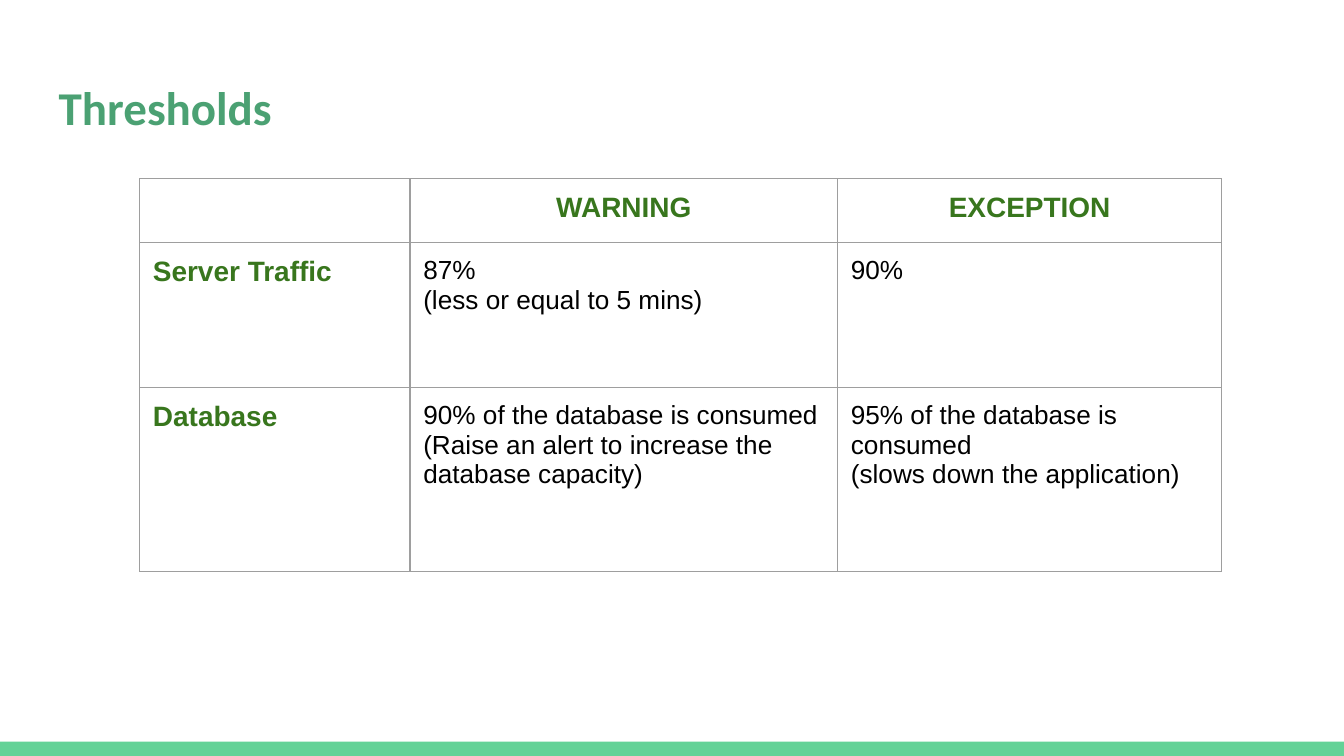
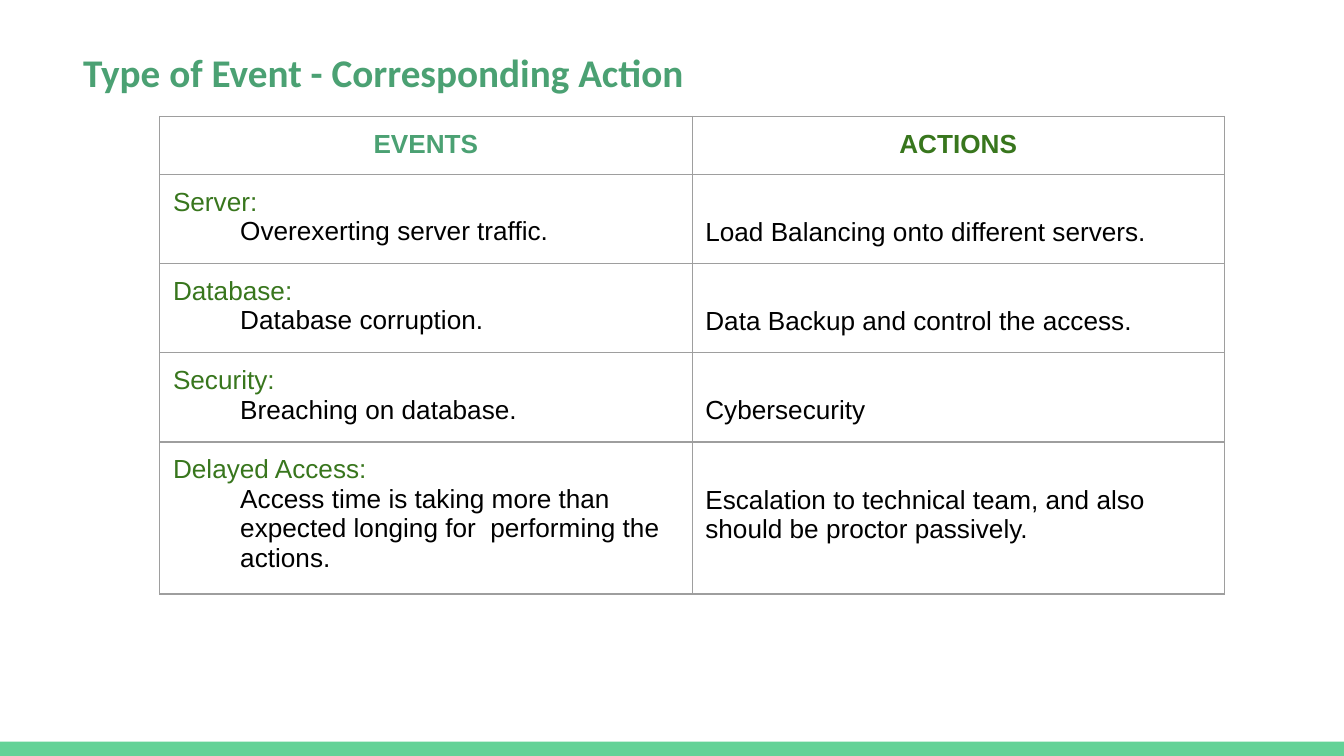
from lxml import etree
from pptx import Presentation
from pptx.dml.color import RGBColor
from pptx.enum.shapes import MSO_SHAPE as Shape
from pptx.enum.text import MSO_ANCHOR as Anchor, PP_ALIGN as Align
from pptx.oxml.ns import qn
from pptx.util import Cm, Pt

BAND = RGBColor(0x63, 0xD2, 0x97)
TITLE = RGBColor(0x4B, 0xA1, 0x73)
GREEN = RGBColor(0x38, 0x76, 0x1D)
BLACK = RGBColor(0, 0, 0)
BORDER = RGBColor(0x9E, 0x9E, 0x9E)
INSET = Cm(0.25)
LINE = Cm(0.57)


def write(frame, text, size=14, color=BLACK, bold=False, font="Arial",
          align=Align.LEFT, indent=0):
    """Fill the first paragraph of the frame, or add one after existing text."""
    para = frame.add_paragraph() if frame.text else frame.paragraphs[0]
    para.alignment = align
    if indent:
        properties = para._p.get_or_add_pPr()
        properties.set("marL", str(int(indent)))
        properties.set("indent", "0")
    span = para.add_run()
    span.text = text
    span.font.name = font
    span.font.size = Pt(size)
    span.font.bold = bold
    span.font.color.rgb = color


def add_grid(page, left, top, widths, heights):
    """Add an unfilled table with thin grey borders."""
    table = page.shapes.add_table(len(heights), len(widths), left, top,
                                  sum(widths), sum(heights)).table
    table.first_row = table.horz_banding = False
    for column, width in zip(table.columns, widths):
        column.width = width
    for row, height in zip(table.rows, heights):
        row.height = height
    for cell in table.iter_cells():
        cell.margin_left = cell.margin_right = INSET
        cell.margin_top = cell.margin_bottom = 0
        properties = cell._tc.get_or_add_tcPr()
        for side in ("lnL", "lnR", "lnT", "lnB"):
            line = etree.SubElement(properties, qn(f"a:{side}"), w=str(Pt(0.75)))
            fill = etree.SubElement(line, qn("a:solidFill"))
            etree.SubElement(fill, qn("a:srgbClr"), val=str(BORDER))
        cell.fill.background()
    return table


deck = Presentation()
deck.slide_width = Cm(25.4)
deck.slide_height = Cm(14.29)

# Title, left, top, width, height, text size
titles = [
    ("Thresholds", 0.86, 1.24, 23.67, 1.6, 25.2),
    ("Type of Event - Corresponding Action", 1.32, 0.66, 15.6, 1.42, 21),
]
pages = []
for title, left, top, width, height, size in titles:
    page = deck.slides.add_slide(deck.slide_layouts[6])
    band = page.shapes.add_shape(Shape.RECTANGLE, 0, Cm(14.02),
                                 deck.slide_width, Cm(0.27))
    band.shadow.inherit = False
    band.fill.solid()
    band.fill.fore_color.rgb = BAND
    band.line.fill.background()
    box = page.shapes.add_textbox(Cm(left), Cm(top), Cm(width), Cm(height))
    frame = box.text_frame
    frame.word_wrap = True
    frame.vertical_anchor = Anchor.TOP
    frame.margin_left = frame.margin_right = INSET
    frame.margin_top = frame.margin_bottom = INSET
    write(frame, title, size=size, color=TITLE, bold=True, font="Calibri")
    pages.append(page)

thresholds_page, events_page = pages

# Thresholds: the warning column spans two grid columns
thresholds = [
    ([], ["WARNING"], ["EXCEPTION"]),
    (["Server Traffic"], ["87%", "(less or equal to 5 mins)"], ["90%"]),
    (["Database"],
     ["90% of the database is consumed",
      "(Raise an alert to increase the database capacity)"],
     ["95% of the database is consumed", "(slows down the application)"]),
]
table = add_grid(thresholds_page, Cm(2.64), Cm(3.38),
                 [Cm(5.11), Cm(5.11), Cm(2.97), Cm(7.26)],
                 [Cm(1.21), Cm(2.74), Cm(3.47)])
for row, entries in enumerate(thresholds):
    table.cell(row, 1).merge(table.cell(row, 2))
    for column, lines in zip((0, 1, 3), entries):
        cell = table.cell(row, column)
        if lines:
            cell.margin_top = cell.margin_bottom = INSET
        heading = row == 0 or column == 0
        for line in lines:
            write(cell.text_frame, line, size=15 if heading else 14,
                  color=GREEN if heading else BLACK, bold=heading,
                  align=Align.LEFT if row else Align.CENTER)

# Events: each action lines up with the description under its event name
events = [
    ("Server:", "Overexerting server traffic.",
     "Load Balancing onto different servers."),
    ("Database:", "Database corruption.",
     "Data Backup and control the access."),
    ("Security:", "Breaching on database.", "Cybersecurity"),
    ("Delayed Access:",
     "Access time is taking more than expected longing for  performing the actions.",
     "Escalation to technical team, and also should be proctor passively."),
]
table = add_grid(events_page, Cm(3.02), Cm(2.2), [Cm(10.06)] * 2,
                 [Cm(1.07), Cm(1.62), Cm(1.65), Cm(1.62), Cm(2.72)])
for cell in table.iter_cells():
    cell.margin_top = cell.margin_bottom = INSET
for column, (heading, color) in enumerate([("EVENTS", TITLE), ("ACTIONS", GREEN)]):
    write(table.cell(0, column).text_frame, heading, color=color, bold=True,
          align=Align.CENTER)
for row, (event, description, action) in enumerate(events, start=1):
    event_cell, action_cell = table.cell(row, 0), table.cell(row, 1)
    write(event_cell.text_frame, event, color=GREEN)
    write(event_cell.text_frame, description, indent=Cm(1.27))
    action_cell.margin_top = INSET + LINE
    write(action_cell.text_frame, action)

deck.save("out.pptx")
